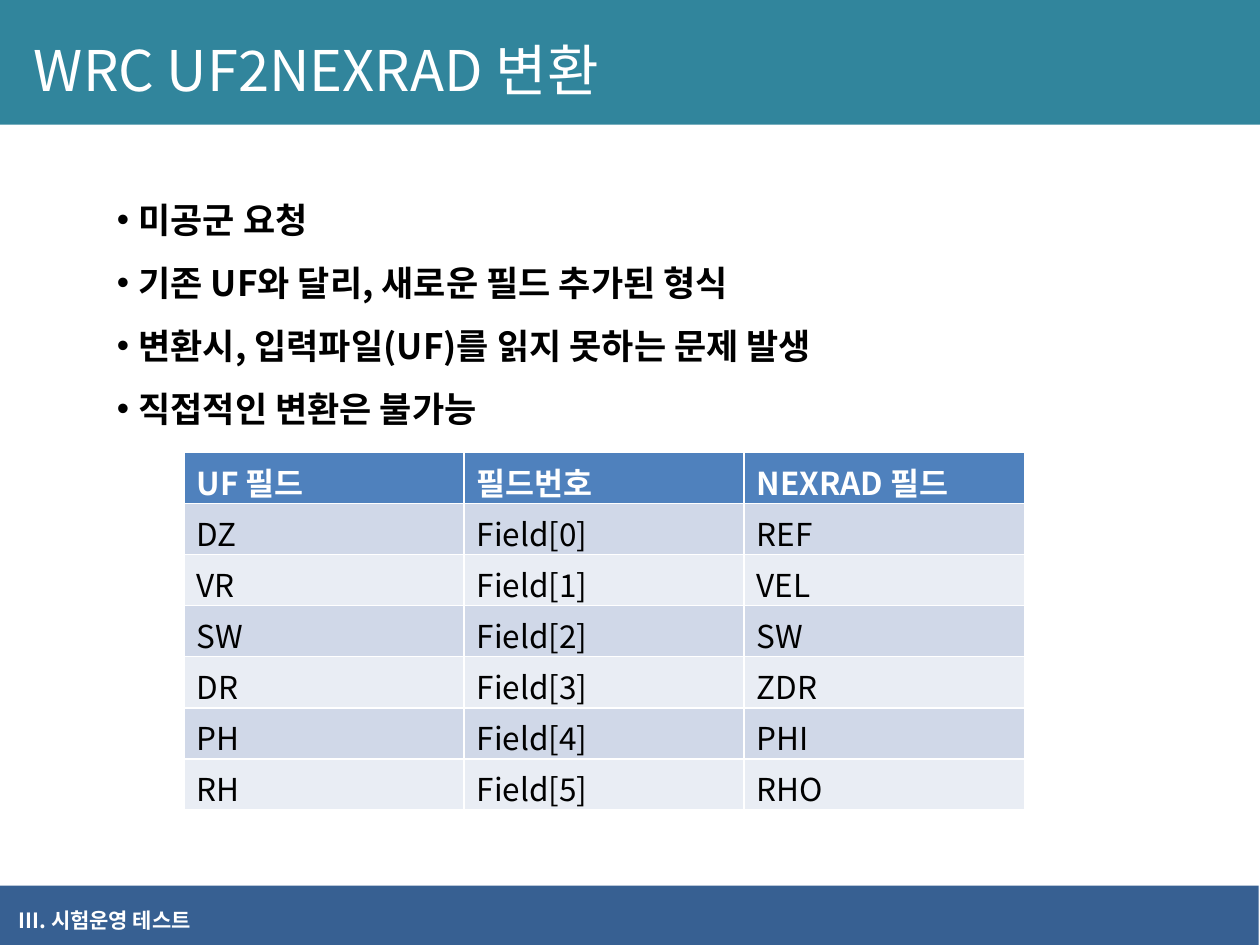
from dataclasses import dataclass

import pptx
import pptx.dml.color
import pptx.enum.shapes
import pptx.enum.text
import pptx.oxml
import pptx.oxml.ns
import pptx.util
from pptx.util import Inches

FONT = "Noto Sans CJK KR"
COLORS = {
    "title_bar": "31859C",
    "footer_bar": "376092",
    "header": "4F81BD",
    "odd_row": "D0D8E8",
    "even_row": "E9EDF4",
    "white": "FFFFFF",
    "black": "000000",
}
BULLETS = [
    "미공군 요청",
    "기존 UF와 달리, 새로운 필드 추가된 형식",
    "변환시, 입력파일(UF)를 읽지 못하는 문제 발생",
    "직접적인 변환은 불가능",
]
HEADINGS = ("UF 필드", "필드번호", "NEXRAD 필드")
FIELDS = [("DZ", "REF"), ("VR", "VEL"), ("SW", "SW"), ("DR", "ZDR"), ("PH", "PHI"), ("RH", "RHO")]


@dataclass
class Area:
    left: float
    top: float
    width: float
    height: float

    def lengths(self) -> tuple:
        return tuple(Inches(n) for n in (self.left, self.top, self.width, self.height))


@dataclass
class Style:
    size: int
    color: str
    bold: bool = False


def rgb(name: str) -> pptx.dml.color.RGBColor:
    return pptx.dml.color.RGBColor.from_string(COLORS[name])


def format_runs(para, style: Style) -> None:
    for span in para.runs:
        span.font.name = FONT
        span.font.size = pptx.util.Pt(style.size)
        span.font.bold = style.bold
        span.font.color.rgb = rgb(style.color)
        east_asian = pptx.oxml.parse_xml(f'<a:ea {pptx.oxml.ns.nsdecls("a")} typeface="{FONT}"/>')
        span.font._element.find(pptx.oxml.ns.qn("a:latin")).addnext(east_asian)


def add_bar(page, area: Area, color: str):
    bar = page.shapes.add_shape(pptx.enum.shapes.MSO_SHAPE.RECTANGLE, *area.lengths())
    bar.shadow.inherit = False
    bar.fill.solid()
    bar.fill.fore_color.rgb = rgb(color)
    bar.line.fill.background()
    return bar


def add_text(page, area: Area, text: str, style: Style, wrap: bool):
    box = page.shapes.add_textbox(*area.lengths())
    box.text_frame.word_wrap = wrap
    box.text_frame.text = text
    for para in box.text_frame.paragraphs:
        format_runs(para, style)
    return box


def add_bullet(para) -> None:
    properties = para._p.get_or_add_pPr()
    properties.set("marL", str(Inches(0.17)))
    properties.set("indent", str(-Inches(0.17)))
    for tag in (f'a:buFont {pptx.oxml.ns.nsdecls("a")} typeface="Arial"',
                f'a:buChar {pptx.oxml.ns.nsdecls("a")} char="•"'):
        properties.append(pptx.oxml.parse_xml(f"<{tag}/>"))
    para.line_spacing = 1.5


def add_title(page, text: str) -> None:
    bar = add_bar(page, Area(0, 0, 10, 0.99), "title_bar")
    frame = bar.text_frame
    frame.word_wrap = True
    frame.margin_left = Inches(0.27)
    frame.vertical_anchor = pptx.enum.text.MSO_ANCHOR.MIDDLE
    frame.text = text
    para = frame.paragraphs[0]
    para.alignment = pptx.enum.text.PP_ALIGN.LEFT
    para.line_spacing = 1.2
    format_runs(para, Style(32, "white"))


def add_field_table(page, area: Area) -> None:
    rows = [HEADINGS] + [(uf, f"Field[{n}]", nexrad) for n, (uf, nexrad) in enumerate(FIELDS)]
    table = page.shapes.add_table(len(rows), len(HEADINGS), *area.lengths()).table
    for r, values in enumerate(rows):
        fill = "header" if r == 0 else "odd_row" if r % 2 else "even_row"
        style = Style(18, "black") if r else Style(18, "white", True)
        for c, value in enumerate(values):
            cell = table.cell(r, c)
            cell.text = value
            cell.fill.solid()
            cell.fill.fore_color.rgb = rgb(fill)
            format_runs(cell.text_frame.paragraphs[0], style)


def main() -> None:
    deck = pptx.Presentation()
    deck.slide_width, deck.slide_height = Inches(10), Inches(7.5)
    page = deck.slides.add_slide(deck.slide_layouts[6])

    add_bar(page, Area(-0.01, 7.03, 10, 0.5), "footer_bar")
    box = add_text(page, Area(0.83, 1.36, 8.32, 2.12), "\n".join(BULLETS),
                   Style(20, "black", True), True)
    for para in box.text_frame.paragraphs:
        add_bullet(para)
    add_text(page, Area(0.05, 7.15, 1.7, 0.3), "III. 시험운영 테스트",
             Style(12, "white", True), False)
    add_title(page, "WRC UF2NEXRAD 변환")
    add_field_table(page, Area(1.46, 3.59, 6.67, 2.84))

    deck.save("out.pptx")


if __name__ == "__main__":
    main()
